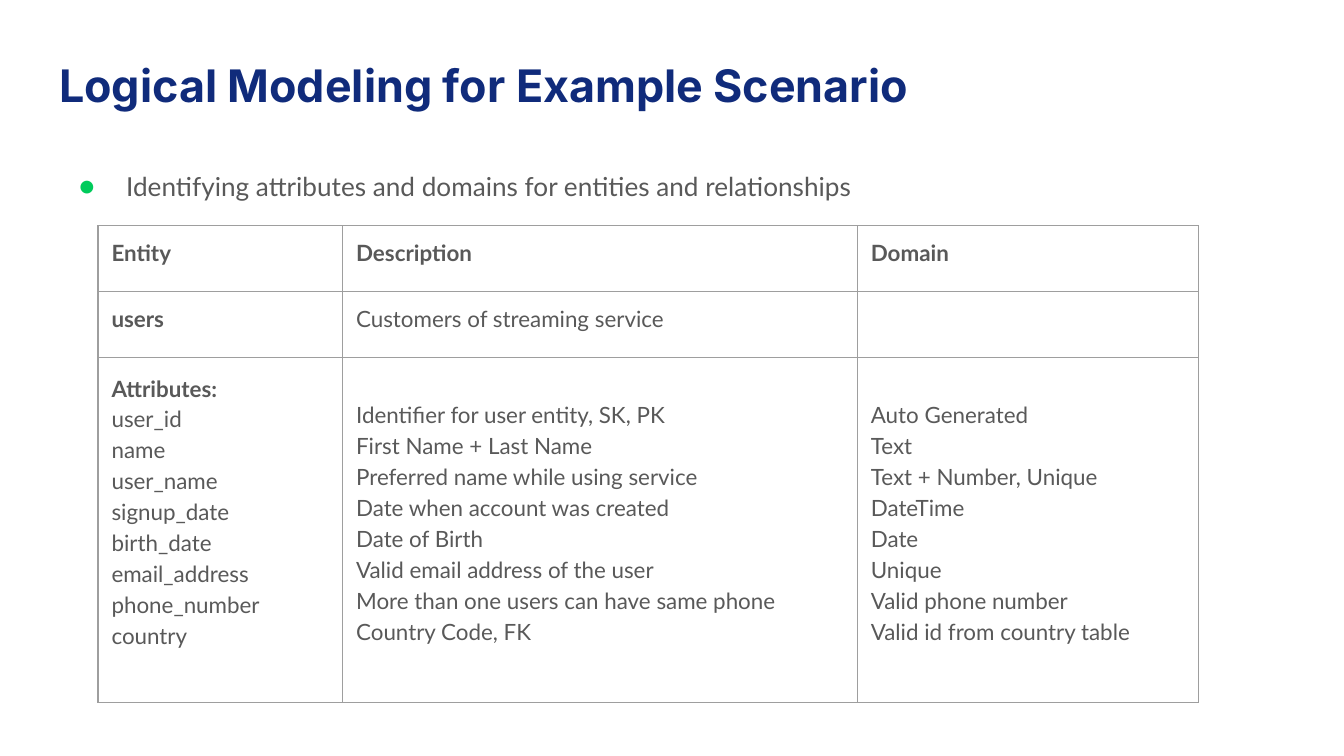
"""Build a slide that lists the attributes and domains of the users entity."""
from lxml import etree
from pptx import Presentation
from pptx import util as u
from pptx.dml.color import RGBColor
from pptx.enum import text
from pptx.oxml import ns

GREY, NAVY, GREEN, BORDER = "595959", "102B7B", "00CB5B", "9E9E9E"
TITLE = {"name": "Inter", "size": u.Pt(24), "bold": True}
BODY = {"name": "Lato", "size": u.Pt(14), "bold": False}
PLAIN = {"name": "Lato", "size": u.Pt(12), "bold": False}
STRONG = {**PLAIN, "bold": True}

COLUMNS = [1.82, 3.83, 2.54]
ROWS = [0.49, 0.49, 2.57]
HEADINGS = ["Entity", "Description", "Domain"]
ENTITY = ["users", "Customers of streaming service", ""]
ATTRIBUTES = [
    ("user_id", "Identifier for user entity, SK, PK", "Auto Generated"),
    ("name", "First Name + Last Name", "Text"),
    ("user_name", "Preferred name while using service", "Text + Number, Unique"),
    ("signup_date", "Date when account was created", "DateTime"),
    ("birth_date", "Date of Birth", "Date"),
    ("email_address", "Valid email address of the user", "Unique"),
    ("phone_number", "More than one users can have same phone", "Valid phone number"),
    ("country", "Country Code, FK", "Valid id from country table"),
]


def paint(target, color):
    """Give a font's colour a hex value."""
    target.color.rgb = RGBColor.from_string(color)


def set_all(target, values):
    """Set each named attribute of the target."""
    for name, value in values.items():
        setattr(target, name, value)


def add_child(parent, tag, **attributes):
    """Append a DrawingML element to the parent."""
    return etree.SubElement(parent, ns.qn(f"a:{tag}"), attributes)


def write(frame, lines, color=GREY, spacing=1.0):
    """Fill a text frame with one paragraph for each (words, style) pair."""
    for index, (words, style) in enumerate(lines):
        para = frame.add_paragraph() if index else frame.paragraphs[0]
        para.line_spacing = spacing
        span = para.add_run()
        span.text = words
        set_all(span.font, style)
        paint(span.font, color)


def set_frame(frame):
    """Give a text frame even insets, wrapping and top alignment."""
    sides = ["left", "top", "right", "bottom"]
    set_all(frame, {f"margin_{side}": u.Inches(0.1) for side in sides})
    set_all(frame, {"word_wrap": True, "vertical_anchor": text.MSO_ANCHOR.TOP,
                    "auto_size": text.MSO_AUTO_SIZE.NONE})


def add_title(page, words):
    """Place and write the title placeholder."""
    title = page.shapes.title
    set_all(title, {"left": u.Inches(0.34), "top": u.Inches(0.33),
                    "width": u.Inches(9.27), "height": u.Inches(0.66)})
    set_frame(title.text_frame)
    write(title.text_frame, [(words, TITLE)], NAVY)
    title.text_frame.paragraphs[0].alignment = text.PP_ALIGN.LEFT


def add_bullet(page, words):
    """Add the bulleted line above the table."""
    box = page.shapes.add_textbox(*map(u.Inches, (0.34, 1.05, 9.32, 4.11)))
    set_frame(box.text_frame)
    write(box.text_frame, [(words, BODY)], spacing=1.5)
    props = box.text_frame.paragraphs[0]._p.get_or_add_pPr()
    props.set("marL", str(u.Inches(0.5)))
    props.set("indent", str(u.Inches(-0.35)))
    add_child(add_child(props, "buClr"), "srgbClr", val=GREEN)
    add_child(props, "buFont", typeface="Lato")
    add_child(props, "buChar", char="●")


def add_borders(cell):
    """Outline a cell on all four sides and leave it unfilled."""
    props = cell._tc.get_or_add_tcPr()
    for side in ("lnL", "lnR", "lnT", "lnB"):
        line = add_child(props, side, w=str(u.Pt(0.75)))
        add_child(add_child(line, "solidFill"), "srgbClr", val=BORDER)
    cell.fill.background()


def fill_cell(cell, lines, spacing=1.0, top=0.1):
    """Write, inset and outline one table cell."""
    set_all(cell, {"margin_left": u.Inches(0.1), "margin_right": u.Inches(0.1),
                   "margin_top": u.Inches(top), "margin_bottom": u.Inches(0.1)})
    write(cell.text_frame, lines, spacing=spacing)
    add_borders(cell)


def add_entity_table(page):
    """Add the table of the entity and its attributes."""
    frame = page.shapes.add_table(
        len(ROWS), len(COLUMNS), u.Inches(0.73), u.Inches(1.68),
        u.Inches(sum(COLUMNS)), u.Inches(sum(ROWS)))
    table = frame.table
    set_all(table, {"first_row": False, "horz_banding": False})
    for row, height in zip(table.rows, ROWS):
        row.height = u.Inches(height)
    for index, (width, values) in enumerate(zip(COLUMNS, zip(*ATTRIBUTES))):
        table.columns[index].width = u.Inches(width)
        is_key = index == 0
        lines = [(value, PLAIN) for value in values]
        if is_key:
            lines.insert(0, ("Attributes:", STRONG))
        fill_cell(table.cell(0, index), [(HEADINGS[index], STRONG)])
        fill_cell(table.cell(1, index), [(ENTITY[index], STRONG if is_key else PLAIN)])
        fill_cell(table.cell(2, index), lines, 1.15, 0.1 if is_key else 0.3)


def main():
    """Build and save the deck."""
    deck = Presentation()
    set_all(deck, {"slide_width": u.Inches(10), "slide_height": u.Inches(10 * 9 / 16)})
    page = deck.slides.add_slide(deck.slide_layouts[5])
    add_title(page, "Logical Modeling for Example Scenario")
    add_bullet(page, "Identifying attributes and domains for entities and relationships")
    add_entity_table(page)
    deck.save("out.pptx")


if __name__ == "__main__":
    main()
